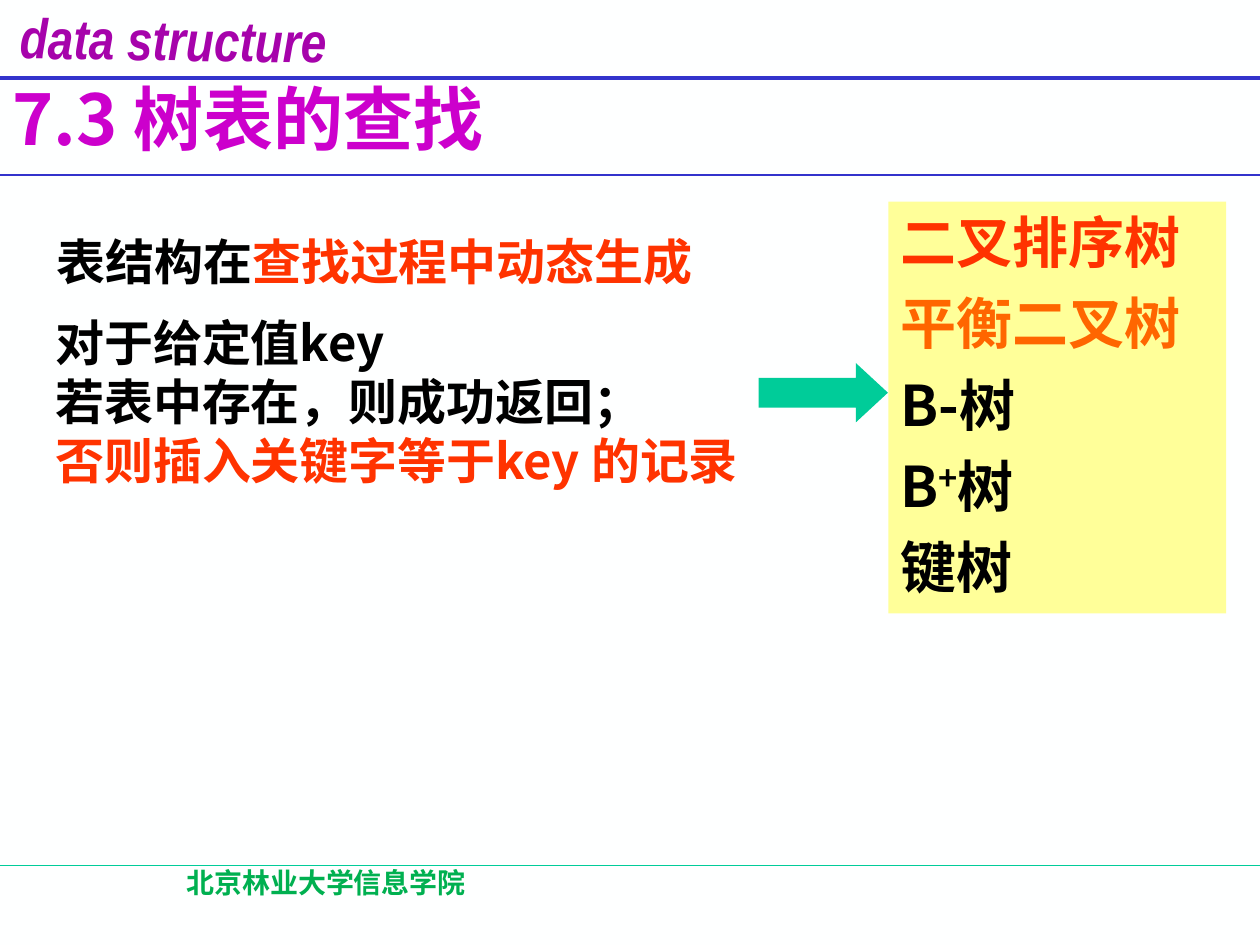
"""Build the slide on searching tree tables."""
from lxml import etree
from pptx import Presentation
from pptx.dml.color import RGBColor
from pptx.enum.shapes import MSO_CONNECTOR, MSO_SHAPE
from pptx.enum.text import MSO_ANCHOR, MSO_AUTO_SIZE, PP_ALIGN
from pptx.oxml.ns import qn
from pptx.util import Pt

STRAIGHT = MSO_CONNECTOR.STRAIGHT
RECTANGLE, RIGHT_ARROW = MSO_SHAPE.RECTANGLE, MSO_SHAPE.RIGHT_ARROW
TOP, MIDDLE = MSO_ANCHOR.TOP, MSO_ANCHOR.MIDDLE
LEFT, CENTER = PP_ALIGN.LEFT, PP_ALIGN.CENTER
NO_FIT, GROW = MSO_AUTO_SIZE.NONE, MSO_AUTO_SIZE.SHAPE_TO_FIT_TEXT

THEME = {
    "paper": "FEFFFF", "ink": "000000", "blue": "3333CC", "teal": "00CC99",
    "purple": "A603AB", "magenta": "CC00CC", "green": "00B050",
    "red": "FF3300", "orange": "FF6600", "yellow": "FFFF99",
    "brand": 32, "heading": 40, "body": 28, "list": 32, "footer": 16,
    "latin": "Arial Narrow", "cjk": "Noto Sans CJK SC",
}


def color(name):
    return RGBColor.from_string(THEME[name])


def write(shape, paragraphs, size, font="cjk", italic=False, frame_format=None,
          paragraph_format=None, hanging=0):
    frame = shape.text_frame
    defaults = {"word_wrap": True, "auto_size": NO_FIT, "vertical_anchor": TOP}
    for key, value in {**defaults, **(frame_format or {})}.items():
        setattr(frame, key, value)
    for index, parts in enumerate(paragraphs):
        paragraph = frame.paragraphs[0] if index == 0 else frame.add_paragraph()
        for key, value in {"alignment": LEFT, **(paragraph_format or {})}.items():
            setattr(paragraph, key, value)
        if hanging:
            properties = paragraph._p.get_or_add_pPr()
            properties.set("marL", str(Pt(hanging)))
            properties.set("indent", str(-Pt(hanging)))
        for text, ink, *baseline in parts:
            run = paragraph.add_run()
            run.text = text
            run.font.color.rgb = color(ink)
            run_format = {"size": Pt(THEME[size]), "name": THEME[font],
                          "bold": True, "italic": italic}
            for key, value in run_format.items():
                setattr(run.font, key, value)
            run_properties = run._r.get_or_add_rPr()
            etree.SubElement(run_properties, qn("a:ea")).set("typeface", THEME[font])
            if baseline:
                run_properties.set("baseline", str(baseline[0]))


prs = Presentation()
prs.slide_width, prs.slide_height = Pt(720), Pt(540)
slide = prs.slides.add_slide(prs.slide_layouts[6])
slide.background.fill.solid()
slide.background.fill.fore_color.rgb = color("paper")
shapes = slide.shapes

for y, ink, width in [(494.6, "teal", 0.75), (44.6, "blue", 2.25), (100, "blue", 1)]:
    rule = shapes.add_connector(STRAIGHT, 0, Pt(y), Pt(720), Pt(y))
    rule.line.color.rgb = color(ink)
    rule.line.width = Pt(width)
    etree.SubElement(rule._element.spPr, qn("a:effectLst"))

course = shapes.add_textbox(Pt(4.4), Pt(-0.7), Pt(189), Pt(39))
course.rotation = 0.8
write(course, [[("data structure", "purple")]], "brand", font="latin", italic=True,
      frame_format={"word_wrap": False}, paragraph_format={"space_before": Pt(7)})
course.left = Pt(4.4)

school = shapes.add_textbox(Pt(37.4), Pt(491), Pt(298), Pt(36))
write(school, [[("北京林业大学信息学院", "green")]], "footer",
      paragraph_format={"alignment": CENTER, "space_before": Pt(10)})

heading = shapes.add_textbox(0, Pt(40.3), Pt(484.6), Pt(54))
write(heading, [[("7.3 树表的查找", "magenta")]], "heading",
      frame_format={"vertical_anchor": MIDDLE})

structure = shapes.add_textbox(Pt(25.2), Pt(128.9), Pt(378), Pt(41))
write(structure, [[("表结构在", "ink"), ("查找过程中动态生成", "red")]], "body",
      frame_format={"word_wrap": False, "auto_size": GROW})

search_rule = shapes.add_textbox(Pt(24.5), Pt(175), Pt(409.7), Pt(141.8))
write(search_rule, [
    [("对于给定值key", "ink")],
    [("若表中存在，则成功返回；", "ink")],
    [("否则插入关键字等于key 的记录", "red")],
], "body", frame_format={"auto_size": GROW})

tree_kinds = shapes.add_shape(RECTANGLE, Pt(507.6), Pt(115.2), Pt(193), Pt(235.4))
write(tree_kinds, [
    [("二叉排序树", "red")],
    [("平衡二叉树", "orange")],
    [("B-树", "ink")],
    [("B", "ink"), ("+", "ink", 30000), ("树", "ink")],
    [("键树", "ink")],
], "list", paragraph_format={"space_before": Pt(8)}, hanging=27)

leads_to = shapes.add_shape(RIGHT_ARROW, Pt(433.6), Pt(207.4), Pt(73.8), Pt(34))
leads_to.adjustments[0], leads_to.adjustments[1] = 0.5, 0.54

for block, ink in [(tree_kinds, "yellow"), (leads_to, "teal")]:
    block.shadow.inherit = False
    block.fill.solid()
    block.fill.fore_color.rgb = color(ink)
    block.line.fill.background()

prs.save("out.pptx")
